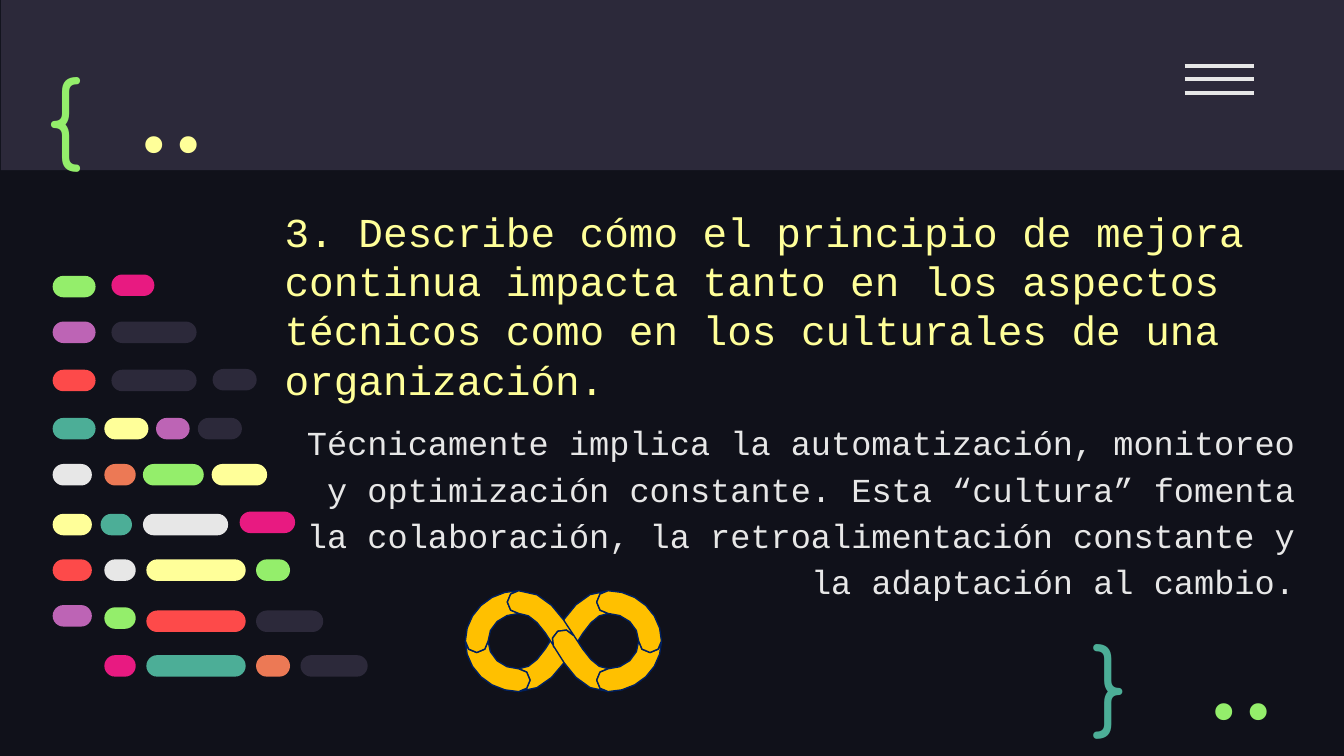
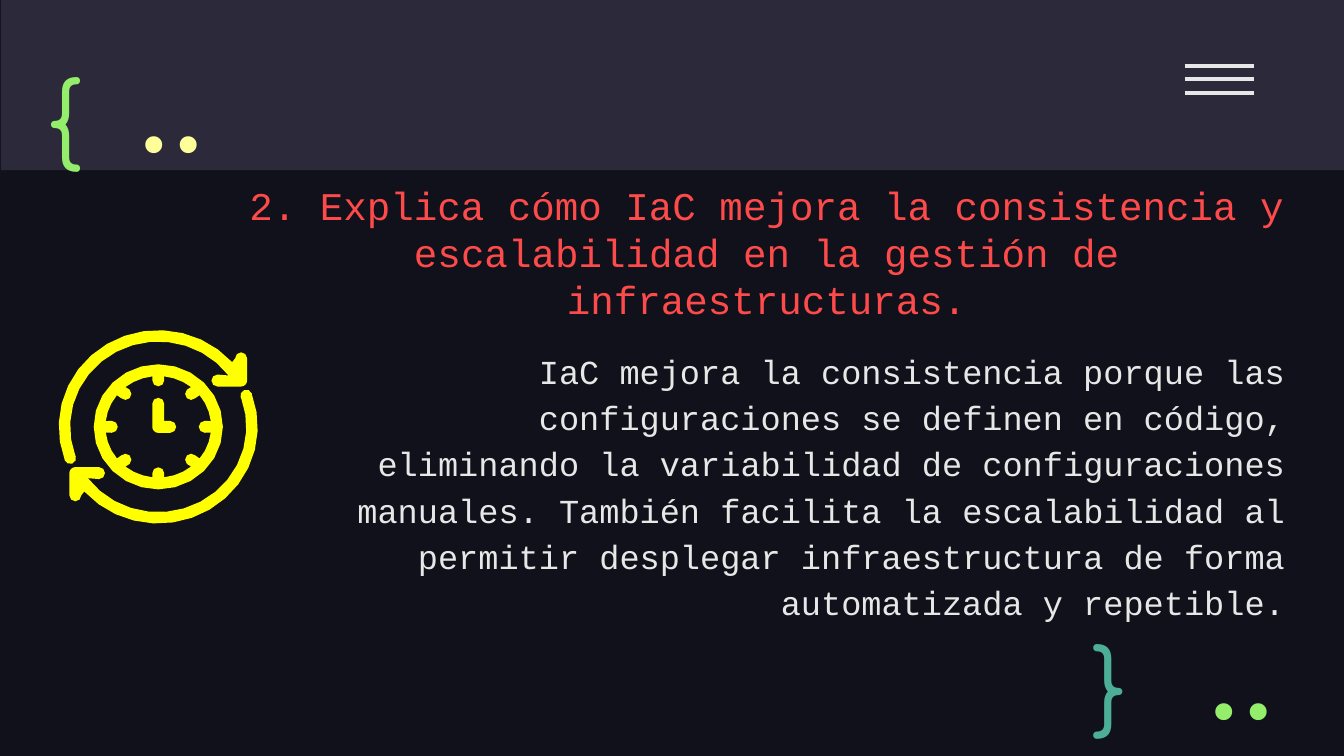
from math import cos, radians, sin

from pptx import Presentation
from pptx.dml.color import RGBColor
from pptx.enum.shapes import MSO_CONNECTOR, MSO_SHAPE as SHAPE
from pptx.enum.text import MSO_ANCHOR as ANCHOR, PP_ALIGN as ALIGN
from pptx.oxml.ns import qn
from pptx.util import Pt

NIGHT = RGBColor(0x10, 0x11, 0x1A)
SLATE = RGBColor(0x2C, 0x29, 0x3A)
WHITE = RGBColor(0xE7, 0xE7, 0xE7)
GREEN = RGBColor(0x94, 0xEE, 0x6B)
PINK = RGBColor(0xE8, 0x1A, 0x81)
PURPLE = RGBColor(0xBD, 0x64, 0xB5)
RED = RGBColor(0xFD, 0x4A, 0x4A)
TEAL = RGBColor(0x4C, 0xAE, 0x97)
CREAM = RGBColor(0xFF, 0xFF, 0x99)
ORANGE = RGBColor(0xEC, 0x79, 0x55)
GOLD = RGBColor(0xFF, 0xC0, 0x00)
NAVY = RGBColor(0x00, 0x20, 0x60)
YELLOW = RGBColor(0xFF, 0xFF, 0x00)

TEXT_FONT = "Courier New"
BRACE_FONT = "Comfortaa"
DOTS_FONT = "Fira Code"

# Code pills: top of the row, then left, width and colour of each pill
PILL_HEIGHT = 11.5
PILL_ROWS = [
    (0, [(31.5, 23, PINK)]),
    (0.7, [(0, 23, GREEN)]),
    (25.2, [(0, 23, PURPLE), (31.5, 45.6, SLATE)]),
    (50.6, [(85.7, 23.6, SLATE)]),
    (51, [(0, 23, RED), (31.5, 45.6, SLATE)]),
    (76.8, [(0, 23, TEAL), (27.7, 23.6, CREAM), (55.4, 18, PURPLE), (77.8, 23.6, SLATE)]),
    (101.5, [(0, 21, WHITE), (27.7, 16.8, ORANGE), (48.4, 32.6, GREEN), (85.2, 29.7, CREAM)]),
    (127, [(100.2, 29.7, PINK)]),
    (128.2, [(0, 21, CREAM), (25.7, 16.8, TEAL), (48.4, 45.6, WHITE)]),
    (152.6, [(0, 21, RED), (27.7, 16.8, WHITE), (50.2, 53.2, CREAM), (109, 18.2, GREEN)]),
    (177.1, [(0, 21, PURPLE)]),
    (178.3, [(27.7, 16.8, GREEN)]),
    (180, [(50.2, 53.2, RED), (109, 36, SLATE)]),
    (203.9, [(27.7, 16.8, PINK), (50.2, 53.2, TEAL), (109, 18.2, ORANGE), (132.8, 36, SLATE)]),
]


def paint(sp, fill, line=None):
    sp.shadow.inherit = False
    sp.fill.solid()
    sp.fill.fore_color.rgb = fill
    if line is None:
        sp.line.fill.background()
    else:
        sp.line.color.rgb = line
        sp.line.width = Pt(0.75)


def add_preset(s, kind, box, fill):
    sp = s.shapes.add_shape(kind, *map(Pt, box))
    paint(sp, fill)
    return sp


def set_text(sp, box, text, size, color, font=TEXT_FONT, align=ALIGN.LEFT, anchor=ANCHOR.TOP):
    sp.left, sp.top, sp.width, sp.height = map(Pt, box)
    tf = sp.text_frame
    tf.word_wrap = True
    tf.vertical_anchor = anchor
    tf.margin_left = tf.margin_right = tf.margin_top = tf.margin_bottom = Pt(7.2)
    p = tf.paragraphs[0]
    p.text = text
    p.alignment = align
    p.font.name = font
    p.font.size = Pt(size)
    p.font.bold = False
    p.font.color.rgb = color
    return p


def add_text(s, box, *args, **style):
    return set_text(s.shapes.add_textbox(*map(Pt, box)), box, *args, **style)


def arc(cx, cy, rx, ry, start, end, steps=4):
    """Points along an ellipse; angles in degrees, clockwise from the right."""
    angles = [radians(start + (end - start) * i / steps) for i in range(steps + 1)]
    return [(cx + rx * cos(a), cy + ry * sin(a)) for a in angles]


def curve(*controls, steps=4):
    """Points along a cubic Bézier curve."""
    points = []
    for i in range(steps + 1):
        t = i / steps
        weights = ((1 - t) ** 3, 3 * t * (1 - t) ** 2, 3 * t * t * (1 - t), t ** 3)
        points.append(tuple(sum(w * c[axis] for w, c in zip(weights, controls))
                            for axis in (0, 1)))
    return points


def add_outline(s, left, top, contours, fill, line=None):
    """One freeform of closed contours, placed from the given corner or centre."""
    contours = [[(Pt(left + x), Pt(top + y)) for x, y in points] for points in contours]
    builder = s.shapes.build_freeform(*contours[0][0], scale=1.0)
    for i, vertices in enumerate(contours):
        if i:
            builder.move_to(*vertices[0])
        builder.add_line_segments(vertices[1:], close=True)
    paint(builder.convert_to_shape(), fill, line)


def add_header(s):
    add_preset(s, SHAPE.RECTANGLE, (0.5, 0, 720, 91.2), SLATE)
    for i in range(3):
        y = Pt(35.3 + 7.2 * i)
        cx = s.shapes.add_connector(MSO_CONNECTOR.STRAIGHT, Pt(634.7), y, Pt(671.8), y)
        cx.line.color.rgb = WHITE
        cx.line.width = Pt(2.25)
        props = cx._element.spPr
        props.append(props.makeelement(qn("a:effectLst"), {}))


def add_braces(s):
    add_text(s, (18, 23.4, 55.4, 68.4), "{", 50, GREEN, font=BRACE_FONT)
    add_text(s, (578.2, 327.3, 41, 59.8), "}", 50, TEAL, font=BRACE_FONT)
    for left, top, color in ((626, 343.7, GREEN), (52.6, 40.3, CREAM)):
        add_text(s, (left, top, 77, 43.2), "..", 50, color, font=DOTS_FONT,
                 align=ALIGN.RIGHT, anchor=ANCHOR.MIDDLE)


def add_code_pills(s, left, top):
    for y, pills in PILL_ROWS:
        for x, width, color in pills:
            box = (left + x, top + y, width, PILL_HEIGHT)
            sp = add_preset(s, SHAPE.ROUNDED_RECTANGLE, box, color)
            sp.adjustments[0] = 0.5


def add_infinity(s, left, top):
    """Seven interlocking links in a box of 105 by 54 points."""
    cap, mid = 6.1, 27
    x1, x2, center = 28.6, 76.5, 52.6
    upper, lower = cap, 2 * mid - cap

    def end_cap(cx, cy, start, end):
        return arc(cx, cy, cap, cap, start, end)

    def quarter(cx, side, end, cap_end):
        side_x = cx + 22.5 * cos(radians(side))
        end_y = mid + (mid - cap) * sin(radians(end))
        return (arc(cx, mid, 28.6, mid, side, end, 6) + end_cap(cx, end_y, end, cap_end)
                + arc(cx, mid, 16.4, 14.8, end, side) + end_cap(side_x, mid, 180 - side, side))

    rising = (curve((x2, 0), (61.9, 0), (54.7, 12.2), (47.5, 23.8))
              + curve((47.5, 23.8), (41, 34.6), (36, 41.8), (x1, 41.8))
              + end_cap(x1, lower, -90, 90)
              + curve((x1, 54), (43.2, 54), (51.1, 41.8), (58.3, 30.2))
              + curve((58.3, 30.2), (64.8, 19.4), (69.8, 12.2), (x2, 12.2))
              + end_cap(x2, upper, 90, 270))
    falling_start = (end_cap(x1, upper, 270, 90)
                     + curve((x1, 12.2), (36, 12.2), (41, 19.4), (47.3, 29.5))
                     + end_cap(center, mid, 150, 330)
                     + curve((58, 23.8), (51.1, 13), (43.2, 0), (x1, 0)))
    falling_end = (end_cap(center, mid, 330, 150)
                   + curve((47.5, 30), (54.7, 41.8), (61.9, 54), (x2, 54))
                   + end_cap(x2, lower, 90, 270)
                   + curve((x2, 41.8), (69.8, 41.8), (64.8, 34.6), (58, 23.8)))
    links = [rising, quarter(x1, 180, 90, -90), quarter(x1, 180, 270, 90),
             falling_start, falling_end,
             quarter(x2, 0, 90, 270), quarter(x2, 0, -90, -270)]
    for link in links:
        add_outline(s, left, top, [link], GOLD, NAVY)


def add_clock(s, cx, cy):
    """Clock face inside two circling arrows, around its centre."""
    cap = 3.2

    def end_cap(x, y, start, end):
        return arc(x, y, cap, cap, start, end)

    tail = radians(160)
    arrow = (arc(0, 0, 53.3, 51.8, 160, 318, 14)
             + end_cap(44.4, -36.7, 180, 360)
             + end_cap(44.4, -24.8, 0, 90)
             + end_cap(31.7, -24.8, 90, 270)
             + arc(0, 0, 47.2, 45.7, 323, 160, 14)
             + end_cap(50.2 * cos(tail), 48.8 * sin(tail), -20, 160))
    for turn in (-1, 1):
        add_outline(s, cx, cy, [[(turn * x, turn * y) for x, y in arrow]], YELLOW)

    rim = arc(0, 0, 34.6, 33.5, 360, 0, 24)
    dial = []
    for angle in range(0, 360, 45):
        a = radians(angle)
        dial += end_cap(24.9 * cos(a), 24.9 * sin(a), angle - 90, angle - 270)
        dial += arc(0, 0, 28.3, 27.2, angle + 6.5, angle + 38.5, 3)
    # The dial starts on the ring, so that its first mark has straight sides
    add_outline(s, cx, cy, [dial[-1:] + dial, rim], YELLOW)

    hands = (end_cap(0, -12.4, 180, 360) + [(cap, -cap)]
             + end_cap(6.4, 0, -90, 90) + end_cap(0, 0, 90, 180))
    add_outline(s, cx, cy, [hands], YELLOW)


def add_question(prs, title, title_box, size, color, align, answer, answer_box):
    s = prs.slides.add_slide(prs.slide_layouts[5])
    add_header(s)
    p = add_text(s, answer_box, answer, 18, WHITE, align=ALIGN.RIGHT, anchor=ANCHOR.BOTTOM)
    p.line_spacing = 1.15
    set_text(s.shapes.title, title_box, title, size, color, align=align)
    add_braces(s)
    return s


def main():
    prs = Presentation()
    prs.slide_width, prs.slide_height = Pt(720), Pt(405)
    background = prs.slide_master.background.fill
    background.solid()
    background.fore_color.rgb = NIGHT

    s = add_question(
        prs,
        "3. Describe cómo el principio de mejora continua impacta tanto en los "
        "aspectos técnicos como en los culturales de una organización.",
        (145.3, 103.3, 539.3, 110.9), 22, CREAM, ALIGN.LEFT,
        "Técnicamente implica la automatización, monitoreo y optimización constante. "
        "Esta “cultura” fomenta la colaboración, la retroalimentación constante y la "
        "adaptación al cambio.",
        (147.1, 175.5, 553.7, 154.1))
    add_code_pills(s, 28.2, 147.1)
    add_infinity(s, 249.3, 316.5)

    s = add_question(
        prs,
        "2. Explica cómo IaC mejora la consistencia y escalabilidad en la gestión de "
        "infraestructuras.",
        (113.8, 90, 594, 92.2), 21, RED, ALIGN.CENTER,
        "IaC mejora la consistencia porque las configuraciones se definen en código, "
        "eliminando la variabilidad de configuraciones manuales. También facilita la "
        "escalabilidad al permitir desplegar infraestructura de forma automatizada y "
        "repetible.",
        (180.6, 181.7, 514.8, 159.1))
    add_clock(s, 84.8, 228.7)

    prs.save("out.pptx")


if __name__ == "__main__":
    main()
